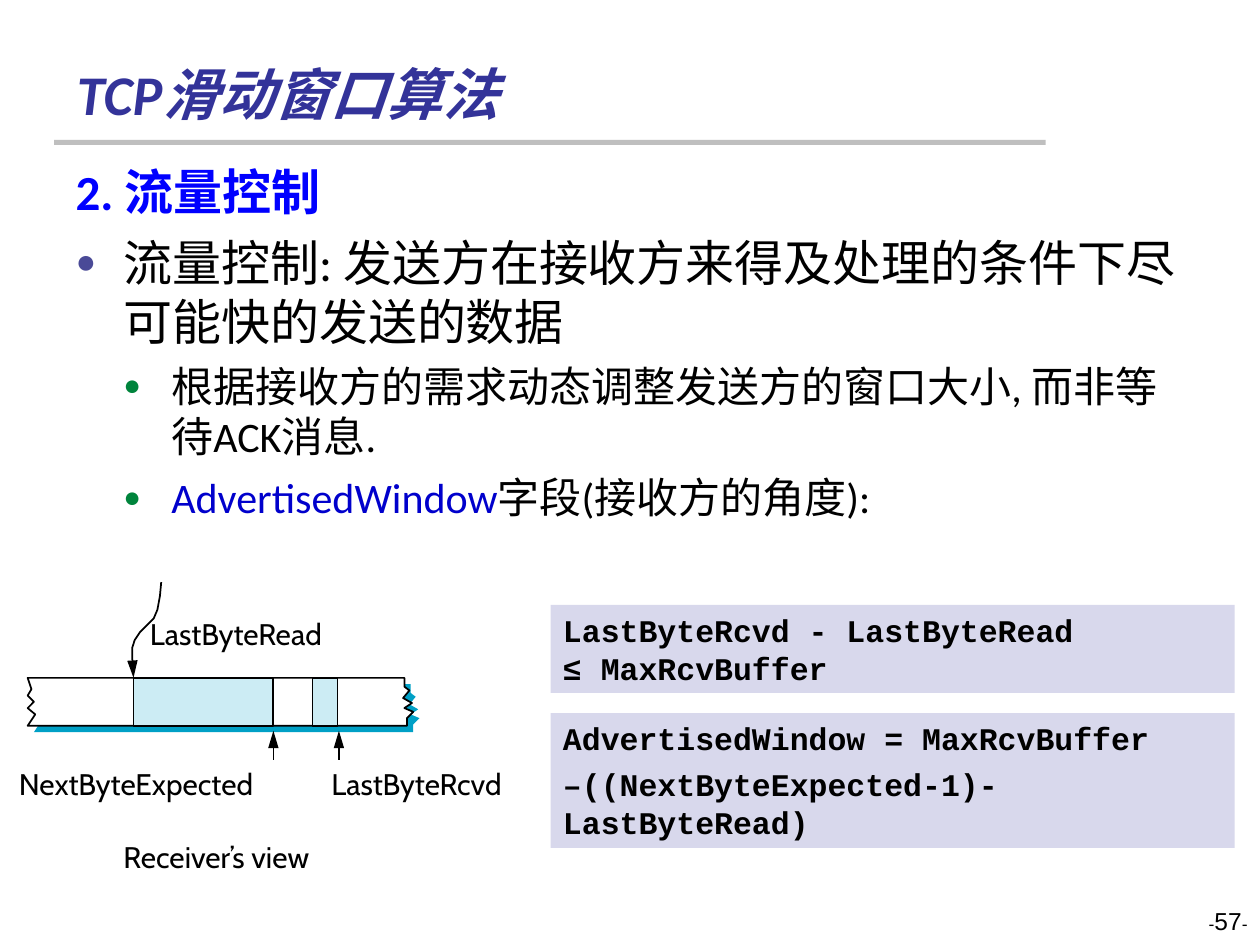
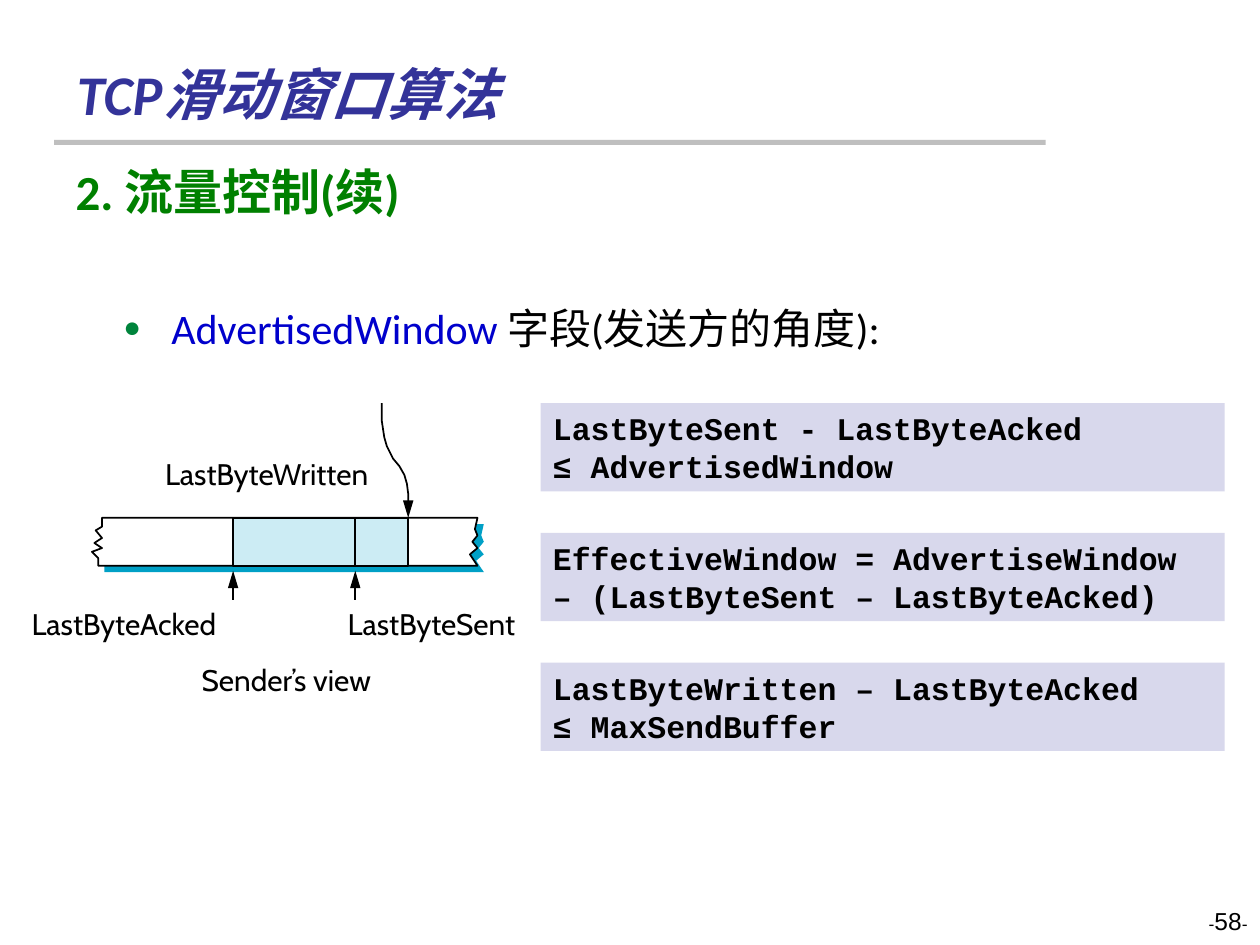
import lxml.etree
import pptx
import pptx.dml.color
import pptx.enum.shapes
import pptx.enum.text
import pptx.oxml.ns
import pptx.util

PX = 9144  # 100 px to the inch
RGB = pptx.dml.color.RGBColor
Pt = pptx.util.Pt
qn = pptx.oxml.ns.qn
ALIGN = pptx.enum.text.PP_ALIGN
ANCHOR = pptx.enum.text.MSO_ANCHOR
RECT = pptx.enum.shapes.MSO_SHAPE.RECTANGLE
STRAIGHT = pptx.enum.shapes.MSO_CONNECTOR.STRAIGHT

BLACK = RGB(0x00, 0x00, 0x00)
WHITE = RGB(0xFF, 0xFF, 0xFF)
NAVY = RGB(0x33, 0x33, 0x99)
BLUE = RGB(0x00, 0x00, 0xFF)
GREEN = RGB(0x00, 0x80, 0x00)
TERM = RGB(0x00, 0x00, 0xCC)
GREY = RGB(0xBF, 0xBF, 0xBF)
LILAC = RGB(0xD8, 0xD8, 0xEC)
AQUA = RGB(0xCC, 0xEC, 0xF4)
TEAL = RGB(0x00, 0xA0, 0xC6)
DOTS = (RGB(0x4A, 0x4A, 0x97), RGB(0x00, 0x84, 0x3C))

TITLE = "TCP滑动窗口算法"
INDENT = 38
BAR = 38  # height of a buffer bar
DROP = 5  # offset of its shadow


def emu(*sizes):
    return [size * PX for size in sizes]


def place(shape, box):
    shape.left, shape.top, shape.width, shape.height = emu(*box)


def style(font, size, name, color=BLACK, bold=False, italic=False):
    font.size, font.name = Pt(size), name
    font.bold, font.italic = bold, italic
    font.color.rgb = color


def paint(shape, fill=None, line=None):
    shape.shadow.inherit = False
    if fill is None:
        shape.fill.background()
    else:
        shape.fill.solid()
        shape.fill.fore_color.rgb = fill
    if line is None:
        shape.line.fill.background()
    else:
        shape.line.color.rgb = line
        shape.line.width = Pt(1)


def block(slide, box, fill, line=None):
    rect = slide.shapes.add_shape(RECT, *emu(*box))
    paint(rect, fill, line)
    return rect


def point(shape):
    """Put an arrowhead at the end of a line."""
    line = shape.element.spPr.find(qn("a:ln"))
    lxml.etree.SubElement(line, qn("a:tailEnd"), type="triangle", w="med", len="lg")


def trace(slide, left, top, points, close):
    build = slide.shapes.build_freeform(*points[0], scale=PX)
    build.add_line_segments(points[1:], close=close)
    return build.convert_to_shape(left * PX, top * PX)


def dot(para, level):
    """Set the indent and bullet of a paragraph; level None has no bullet."""
    props = para._p.get_or_add_pPr()
    props.set("marL", str(INDENT * PX * ((level or 0) + 1)))
    props.set("indent", str(-INDENT * PX))
    if level is None:
        lxml.etree.SubElement(props, qn("a:buNone"))
        return
    para.level = level
    color = lxml.etree.SubElement(props, qn("a:buClr"))
    lxml.etree.SubElement(color, qn("a:srgbClr"), val=str(DOTS[level]))
    lxml.etree.SubElement(props, qn("a:buSzPct"), val="70000")
    lxml.etree.SubElement(props, qn("a:buFont"), typeface="Arial")
    lxml.etree.SubElement(props, qn("a:buChar"), char="●")


def frame(deck, number):
    """Add a slide with its title, rule and page number."""
    slide = deck.slides.add_slide(deck.slide_layouts[1])
    block(slide, (43, 111, 787, 4), GREY)

    page = slide.shapes.add_textbox(*emu(767, 714, 233, 50)).text_frame
    page.word_wrap = True
    para = page.paragraphs[0]
    para.alignment = ALIGN.RIGHT
    for text, size in (("-", 10), (str(number), 14), ("-", 10)):
        run = para.add_run()
        run.text = text
        style(run.font, size, "Arial")

    title = slide.shapes.title
    place(title, (51, 28, 825, 78))
    title.text_frame.text = TITLE
    title.text_frame.vertical_anchor = ANCHOR.BOTTOM
    para = title.text_frame.paragraphs[0]
    para.alignment = ALIGN.LEFT
    style(para.font, 32, "Calibri", NAVY, bold=True, italic=True)
    return slide


def outline(slide, box, head, color, items):
    """Fill the body: a heading, then (level, space before, runs) items."""
    body = slide.placeholders[1]
    place(body, box)
    text = body.text_frame
    text.auto_size = pptx.enum.text.MSO_AUTO_SIZE.NONE
    text.vertical_anchor = ANCHOR.TOP
    para = text.paragraphs[0]
    para.text = head
    dot(para, None)
    para.space_before = Pt(0)
    style(para.font, 28, "Calibri", color, bold=True)
    for level, space, runs in items:
        para = text.add_paragraph()
        dot(para, level)
        para.space_before = Pt(space)
        style(para.font, 24 if level else 28, "Calibri")
        for words, tint in runs:
            run = para.add_run()
            run.text = words
            run.font.color.rgb = tint


def formula(slide, box, lines, space=0):
    text = block(slide, box, LILAC).text_frame
    text.word_wrap = True
    text.vertical_anchor = ANCHOR.TOP
    for index, line in enumerate(lines):
        para = text.add_paragraph() if index else text.paragraphs[0]
        para.text = line
        para.alignment = ALIGN.LEFT
        para.space_before = Pt(space if index else 0)
        style(para.font, 18, "Courier New", bold=True)


def buffer(slide, left, top, edge, cells, curve, marks, labels):
    """Draw a torn byte buffer; all parts are relative to its top left."""
    paint(trace(slide, left + DROP, top + DROP, edge, True), TEAL)
    paint(trace(slide, left, top, edge, True), WHITE, BLACK)
    for start, width in cells:
        block(slide, (left + start, top, width, BAR), AQUA, BLACK)

    arrow = trace(slide, left, top, curve, False)
    paint(arrow, line=BLACK)
    point(arrow)
    for mark in marks:
        x = left + mark
        arrow = slide.shapes.add_connector(STRAIGHT, *emu(x, top + 65, x, top + 42))
        arrow.line.color.rgb = BLACK
        arrow.line.width = Pt(1)
        point(arrow)
        lxml.etree.SubElement(arrow.element.spPr, qn("a:effectLst"))

    for words, x, y, width in labels:
        text = slide.shapes.add_textbox(*emu(left + x, top + y, width, 28)).text_frame
        text.word_wrap = True
        text.margin_left = text.margin_right = 0
        text.margin_top = text.margin_bottom = 0
        text.paragraphs[0].text = words
        style(text.paragraphs[0].font, 17, "Cabin")


BODY = (50, 123, 900, 583)


def receiver(deck):
    slide = frame(deck, 57)
    outline(slide, BODY, "2. 流量控制", BLUE, [
        (0, 7, [("流量控制: 发送方在接收方来得及处理的条件下尽可能快的发送的数据", BLACK)]),
        (1, 6, [("根据接收方的需求动态调整发送方的窗口大小, 而非等待ACK消息.", BLACK)]),
        (1, 6, [("AdvertisedWindow", TERM), ("字段(接收方的角度):", BLACK)]),
    ])
    buffer(
        slide, 22, 538,
        edge=[(0, 0), (299, 0), (299, 7), (303, 10), (298, 16), (305, 20),
              (299, 24), (306, 27), (301, 32), (301, BAR), (0, BAR), (6, 29),
              (0, 24), (5, 19), (0, 14), (3, 9)],
        cells=[(84, 111), (226, 20)],
        curve=[(106, -76), (105, -65), (103, -54), (100, -47), (95, -42),
               (89, -36), (85, -30), (83, -24), (83, -16), (84, 0)],
        marks=[195, 247],
        labels=[("LastByteRead", 97, -49, 151), ("LastByteRcvd", 241, 70, 148),
                ("NextByteExpected", -7, 70, 203), ("Receiver’s view", 76, 128, 181)],
    )
    formula(slide, (437, 480, 543, 70),
            ["LastByteRcvd - LastByteRead", "≤ MaxRcvBuffer"])
    formula(slide, (437, 566, 543, 107),
            ["AdvertisedWindow = MaxRcvBuffer",
             "–((NextByteExpected-1)-LastByteRead)"], space=4.5)


def sender(deck):
    slide = frame(deck, 58)
    outline(slide, BODY, "2. 流量控制(续)", GREEN, [
        (1, 47, [("AdvertisedWindow ", TERM), ("字段(发送方的角度):", BLACK)]),
    ])
    buffer(
        slide, 73, 411,
        edge=[(8, 0), (306, 0), (304, 9), (306, 14), (302, 19), (306, 24),
              (300, 29), (306, BAR), (5, BAR), (5, 32), (0, 27), (8, 24),
              (2, 20), (8, 16), (3, 10), (8, 7)],
        cells=[(112, 97), (209, 42)],
        curve=[(230, -91), (230, -77), (232, -64), (234, -57), (239, -47),
               (244, -41), (248, -34), (250, -27), (251, -19), (251, 0)],
        marks=[112, 209],
        labels=[("LastByteWritten", 58, -49, 178), ("LastByteSent", 203, 70, 144),
                ("LastByteAcked", -48, 70, 162), ("Sender’s view", 87, 114, 150)],
    )
    rules = [
        ["LastByteSent - LastByteAcked", "≤ AdvertisedWindow"],
        ["EffectiveWindow = AdvertiseWindow – (LastByteSent – LastByteAcked)"],
        ["LastByteWritten – LastByteAcked", "≤ MaxSendBuffer"],
    ]
    for index, lines in enumerate(rules):
        formula(slide, (429, 320 + index * 103, 543, 70), lines)


def main():
    deck = pptx.Presentation()
    deck.slide_width, deck.slide_height = emu(1000, 750)
    receiver(deck)
    sender(deck)
    deck.save("out.pptx")


if __name__ == "__main__":
    main()
